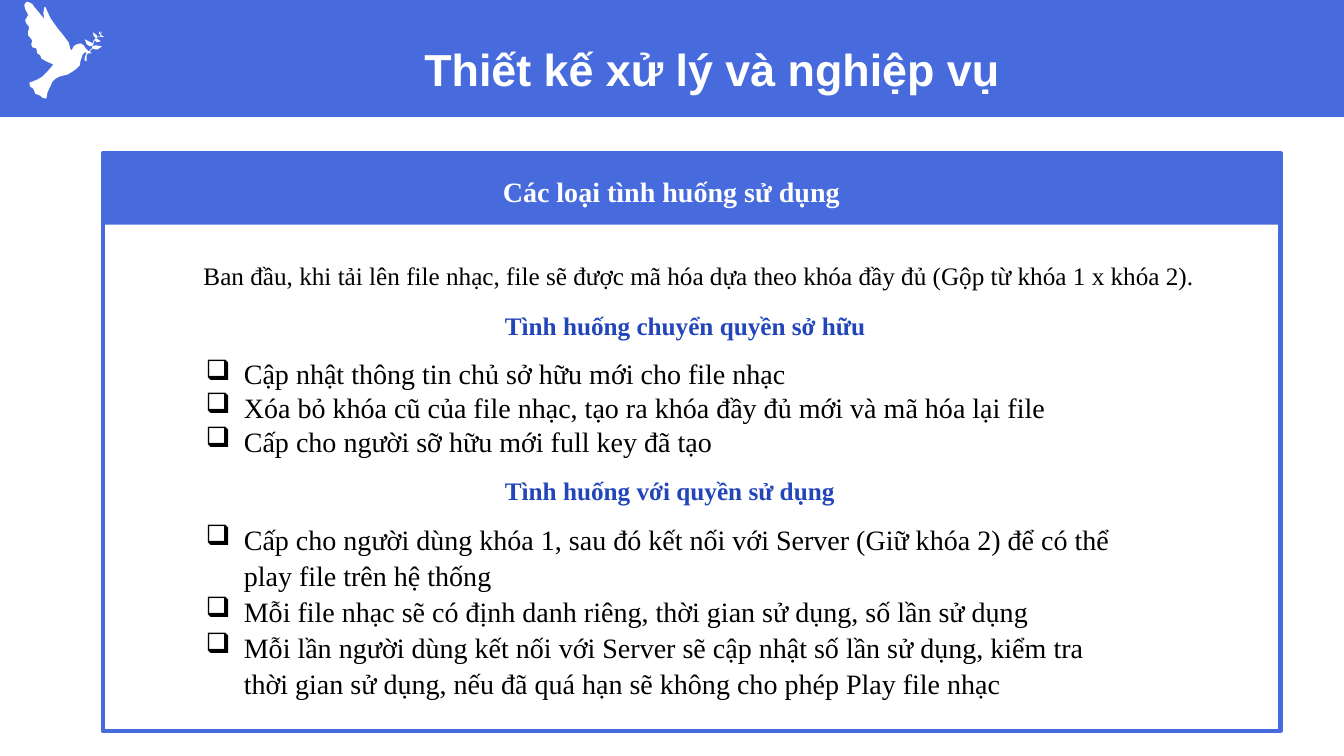
from pptx import Presentation
from pptx.dml.color import RGBColor
from pptx.enum.shapes import MSO_SHAPE
from pptx.enum.text import MSO_ANCHOR, PP_ALIGN
from pptx.oxml.xmlchemy import OxmlElement
from pptx.util import Emu, Pt

PX = 9144  # 100 px to the inch

BLUE = RGBColor(0x47, 0x6A, 0xDD)
DEEP_BLUE = RGBColor(0x22, 0x45, 0xB9)
WHITE = RGBColor(0xFF, 0xFF, 0xFF)
BLACK = RGBColor(0, 0, 0)
SERIF = "Times New Roman"

DOVE = [
    (35, 93), (33, 88), (30, 86), (29, 82), (32, 81), (37, 79), (42, 76), (47, 71),
    (53, 64), (46, 61), (41, 58), (40, 55), (37, 53), (36, 48), (32, 47), (31, 44),
    (32, 40), (28, 35), (28, 31), (29, 27), (26, 23), (25, 20), (28, 15), (25, 9),
    (24, 5), (26, 2), (28, 2), (32, 4), (34, 7), (40, 14), (44, 19), (43, 13),
    (44, 7), (45, 7), (50, 18), (57, 28), (62, 34), (68, 42), (70, 49), (71, 50),
    (73, 46), (76, 44), (80, 43), (83, 45), (85, 48), (88, 51), (91, 48), (92, 45),
    (89, 46), (86, 44), (84, 39), (88, 41), (92, 43), (93, 40), (95, 38), (93, 36),
    (92, 32), (96, 35), (96, 37), (100, 35), (98, 33), (99, 31), (100, 34), (101, 31),
    (100, 35), (103, 36), (101, 37), (99, 36), (95, 38), (97, 39), (100, 41), (96, 42),
    (94, 40), (93, 42), (92, 46), (95, 45), (101, 46), (97, 49), (94, 49), (92, 48),
    (89, 51), (91, 53), (88, 53), (87, 53), (86, 55), (86, 58), (86, 61), (84, 60),
    (84, 57), (86, 52), (84, 52), (82, 54), (81, 57), (80, 60), (79, 65), (76, 68),
    (72, 71), (67, 74), (59, 76), (55, 78), (52, 81), (47, 92), (46, 98), (42, 97),
    (40, 95),
]

OWNERSHIP_STEPS = [
    "Cập nhật thông tin chủ sở hữu mới cho file nhạc",
    "Xóa bỏ khóa cũ của file nhạc, tạo ra khóa đầy đủ mới và mã hóa lại file",
    "Cấp cho người sỡ hữu mới full key đã tạo",
]
USAGE_STEPS = [
    "Cấp cho người dùng khóa 1, sau đó kết nối với Server (Giữ khóa 2) để có thể "
    "play file trên hệ thống",
    "Mỗi file nhạc sẽ có định danh riêng, thời gian sử dụng, số lần sử dụng",
    "Mỗi lần người dùng kết nối với Server sẽ cập nhật số lần sử dụng, kiểm tra "
    "thời gian sử dụng, nếu đã quá hạn sẽ không cho phép Play file nhạc",
]


def px(*lengths):
    return [Emu(length * PX) for length in lengths]


def add_panel(page, place, fill=None, line=None):
    panel = page.shapes.add_shape(MSO_SHAPE.RECTANGLE, *px(*place))
    panel.shadow.inherit = False
    if fill is None:
        panel.fill.background()
    else:
        panel.fill.solid()
        panel.fill.fore_color.rgb = fill
    if line is None:
        panel.line.fill.background()
    else:
        panel.line.color.rgb = line
        panel.line.width = Pt(3)


def add_dove(page):
    builder = page.shapes.build_freeform(*DOVE[0], scale=PX)
    builder.add_line_segments(DOVE[1:], close=True)
    dove = builder.convert_to_shape()
    dove.shadow.inherit = False
    dove.fill.solid()
    dove.fill.fore_color.rgb = WHITE
    dove.line.fill.background()


def set_indent(para, left, first=0):
    properties = para._p.get_or_add_pPr()
    properties.set("marL", str(left * PX))
    properties.set("indent", str(first * PX))
    return properties


def add_bullet(para):
    properties = set_indent(para, 88, -38)
    bullet = OxmlElement("a:buChar")
    bullet.set("char", "❑")
    properties.append(bullet)


def add_text(page, place, lines, size, color, bold=False, font=SERIF,
             align=PP_ALIGN.LEFT, spacing=None, after=0, indent=0, bullets=False):
    box = page.shapes.add_textbox(*px(*place))
    frame = box.text_frame
    frame.word_wrap = True
    for index, line in enumerate(lines):
        para = frame.add_paragraph() if index else frame.paragraphs[0]
        para.alignment = align
        if spacing:
            para.line_spacing = spacing
        if after and index == len(lines) - 1:
            para.space_after = Pt(after)
        if bullets:
            add_bullet(para)
        elif indent:
            set_indent(para, indent)
        span = para.add_run()
        span.text = line
        span.font.size = Pt(size)
        span.font.name = font
        span.font.bold = bold
        span.font.color.rgb = color
    return frame


def add_note(page, place, line, color=BLACK, bold=False):
    add_text(page, place, [line], 18, color, bold, spacing=1.07, after=8, indent=25)


def main():
    deck = Presentation()
    deck.slide_width, deck.slide_height = px(1333, 750)
    page = deck.slides.add_slide(deck.slide_layouts[6])

    # Header band
    add_panel(page, (0, 0, 1333, 116), fill=BLUE)
    add_dove(page)
    title = add_text(page, (114, 32, 1185, 79), ["Thiết kế xử lý và nghiệp vụ"], 32, WHITE,
                     bold=True, font="Arial", align=PP_ALIGN.CENTER, spacing=0.9)
    title.vertical_anchor = MSO_ANCHOR.MIDDLE
    title.paragraphs[0].space_before = Pt(10)

    # Framed panel with its heading
    add_panel(page, (102, 152, 1168, 573), line=BLUE)
    add_panel(page, (102, 152, 1168, 71), fill=BLUE)
    add_text(page, (183, 168, 966, 44), ["Các loại tình huống sử dụng"], 20, WHITE,
             bold=True, align=PP_ALIGN.CENTER)

    # Introduction
    add_note(page, (167, 251, 1037, 43),
             "Ban đầu, khi tải lên file nhạc, file sẽ được mã hóa dựa theo khóa đầy đủ "
             "(Gộp từ khóa 1 x khóa 2).")

    # Transfer of ownership
    add_note(page, (466, 301, 413, 43), "Tình huống chuyển quyền sở hữu", DEEP_BLUE, True)
    add_text(page, (144, 349, 1135, 111), OWNERSHIP_STEPS, 20, BLACK, bullets=True)

    # Right of use
    add_note(page, (466, 465, 425, 43), "Tình huống với quyền sử dụng", DEEP_BLUE, True)
    add_text(page, (144, 511, 974, 190), USAGE_STEPS, 20, BLACK,
             spacing=1.07, after=8, bullets=True)

    deck.save("out.pptx")


if __name__ == "__main__":
    main()
